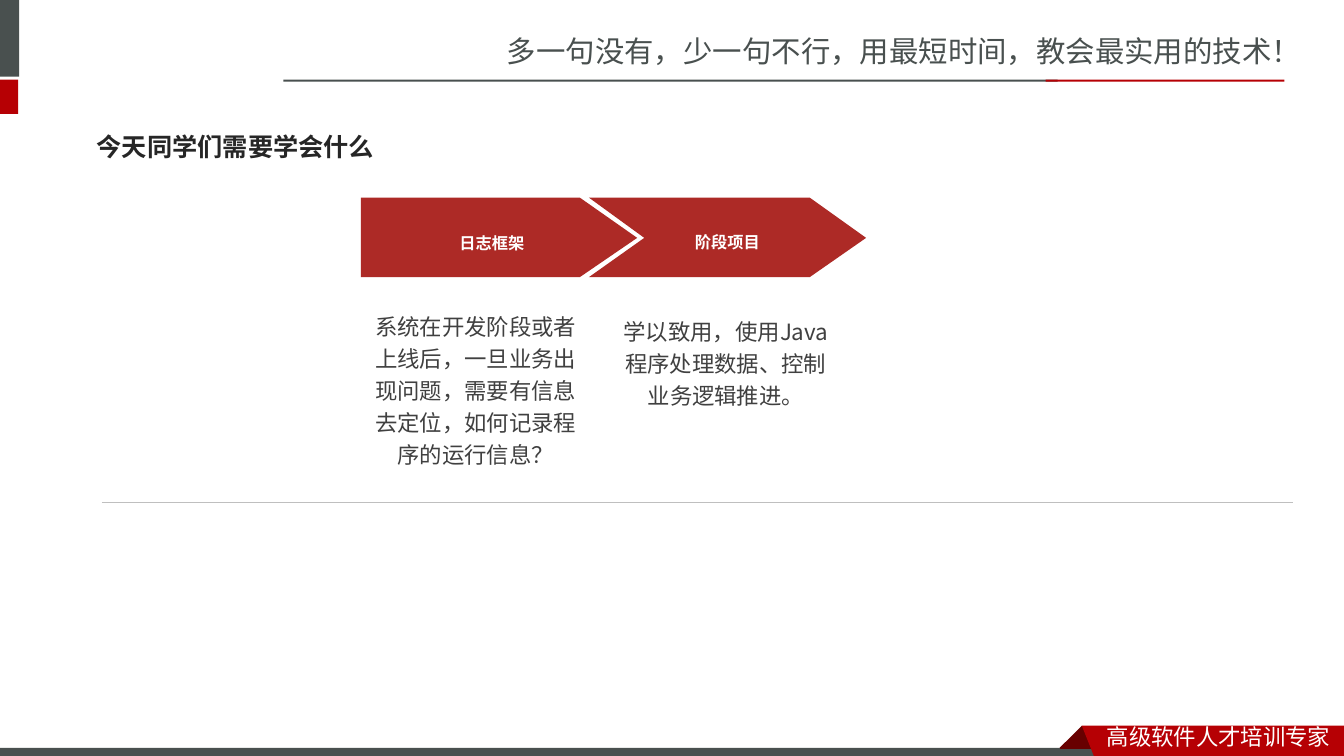
from lxml.etree import SubElement
from pptx import Presentation
from pptx.dml.color import RGBColor as RGB
from pptx.enum.shapes import MSO_CONNECTOR as LINK, MSO_SHAPE as SHAPE
from pptx.enum.text import MSO_ANCHOR as ANCHOR, MSO_AUTO_SIZE as FIT, PP_ALIGN as ALIGN
from pptx.oxml.ns import qn
from pptx.util import Inches, Pt

# Content
HEAD = "今天同学们需要学会什么"
MOTTO = "多一句没有，少一句不行，用最短时间，教会最实用的技术！"
SLOGAN = "高级软件人才培训专家"
# label, label box, line spacing, text, text box
STEPS = [
    ("日志框架", (3.57, 2.19, 2.62, 0.33), 1.0,
     "系统在开发阶段或者上线后，一旦业务出现问题，需要有信息去定位，如何记录程序的运行信息？",
     (3.61, 3, 2.22, 1.7)),
    ("阶段项目", (5.48, 2.13, 3.47, 0.36), 1.2,
     "学以致用，使用Java程序处理数据、控制业务逻辑推进。",
     (6.05, 3.05, 2.3, 1.05)),
]

# Look
HEX = {"gray": "49504F", "red": "B60004", "dark": "680000", "brick": "AD2A26",
       "white": "FFFFFF", "ink": "262626", "text": "404040", "rule": "BFBFBF"}
SC, JP, MONO = "Noto Sans CJK SC", "Noto Sans CJK JP", "Courier New"
WIDE, HIGH = 13.33, 7.5

# Layout
BARS = [  # box, colour
    ((0, 0, 0.19, 0.76), "gray"),
    ((0, 0.79, 0.18, 0.34), "red"),
    ((2.81, 0.79, 7.68, 0.02), "gray"),
    ((10.37, 0.79, 2.37, 0.02), "red"),
    ((0, 7.42, 10.99, HIGH - 7.42), "gray"),
]
FOLD = [(10.73, 7.2), (10.95, 7.42), (10.94, 7.43), (10.52, 7.43), (10.51, 7.42)]
BAND = [(10.73, 7.2), (WIDE, 7.2), (WIDE, HIGH), (10.85, HIGH)]
TOP, MID, LOW = 1.96, 2.36, 2.75
ARROWS = [(3.58, 5.75, 6.32, 3.58), (5.84, 8.03, 8.59, 6.39)]  # left, neck, tip, notch

deck = Presentation()
deck.slide_width, deck.slide_height = Inches(WIDE), Inches(HIGH)
slide = deck.slides.add_slide(deck.slide_layouts[5])
shapes = slide.shapes


def color(name):
    return RGB.from_string(HEX[name])


def paint(shape, name):
    shape.shadow.inherit = False
    shape.fill.solid()
    shape.fill.fore_color.rgb = color(name)
    shape.line.fill.background()


def outline(points, name):
    pen, *rest = [(Inches(x), Inches(y)) for x, y in points]
    form = shapes.build_freeform(*pen)
    form.add_line_segments(rest, close=True)
    paint(form.convert_to_shape(), name)


def write(frame, words, size, face, name, bold=False, align=ALIGN.LEFT,
          lines=1.0, anchor=ANCHOR.TOP, drop=0):
    frame.word_wrap, frame.auto_size = True, FIT.NONE
    frame.vertical_anchor = anchor
    frame.text = words
    para = frame.paragraphs[0]
    para.alignment, para.line_spacing = align, lines
    font = para.font
    font.size, font.bold, font.name = Pt(size), bold, face
    font.color.rgb = color(name)
    props = para._p.pPr.find(qn("a:defRPr"))
    SubElement(props, qn("a:ea"), typeface=SC if face == MONO else face)
    if drop:
        props.set("baseline", str(drop * 1000))


def label(box, *args, **style):
    area = shapes.add_textbox(*map(Inches, box))
    write(area.text_frame, *args, **style)


# Frame of the page
for box, name in BARS:
    paint(shapes.add_shape(SHAPE.RECTANGLE, *map(Inches, box)), name)
outline(FOLD, "dark")
outline(BAND, "red")
label((4.93, 0.28, 8.4, 0.47), MOTTO, 21, SC, "gray")
label((10.88, 7.13, 2.45, 0.37), SLOGAN, 16, SC, "white")

# Title
title = shapes.title
title.left, title.top, title.width, title.height = map(Inches, (0.86, 1.17, 4.08, 0.57))
write(title.text_frame, HEAD, 18, MONO, "ink", bold=True, anchor=ANCHOR.MIDDLE)

# Steps
for (left, neck, tip, notch), (name, spot, lead, words, box) in zip(ARROWS, STEPS):
    outline([(left, TOP), (neck, TOP), (tip, MID), (neck, LOW), (left, LOW), (notch, MID)],
            "brick")
    label(spot, name, 20, JP, "white", bold=True, align=ALIGN.CENTER, lines=lead,
          anchor=ANCHOR.MIDDLE, drop=-3)
    label(box, words, 16, JP, "text", align=ALIGN.CENTER, lines=1.2)

# Closing rule
rule = shapes.add_connector(LINK.STRAIGHT, *map(Inches, (1.01, 4.98, 12.82, 4.98)))
rule.line.color.rgb, rule.line.width = color("rule"), Pt(0.25)
SubElement(rule._element.spPr, qn("a:effectLst"))

deck.save("out.pptx")
